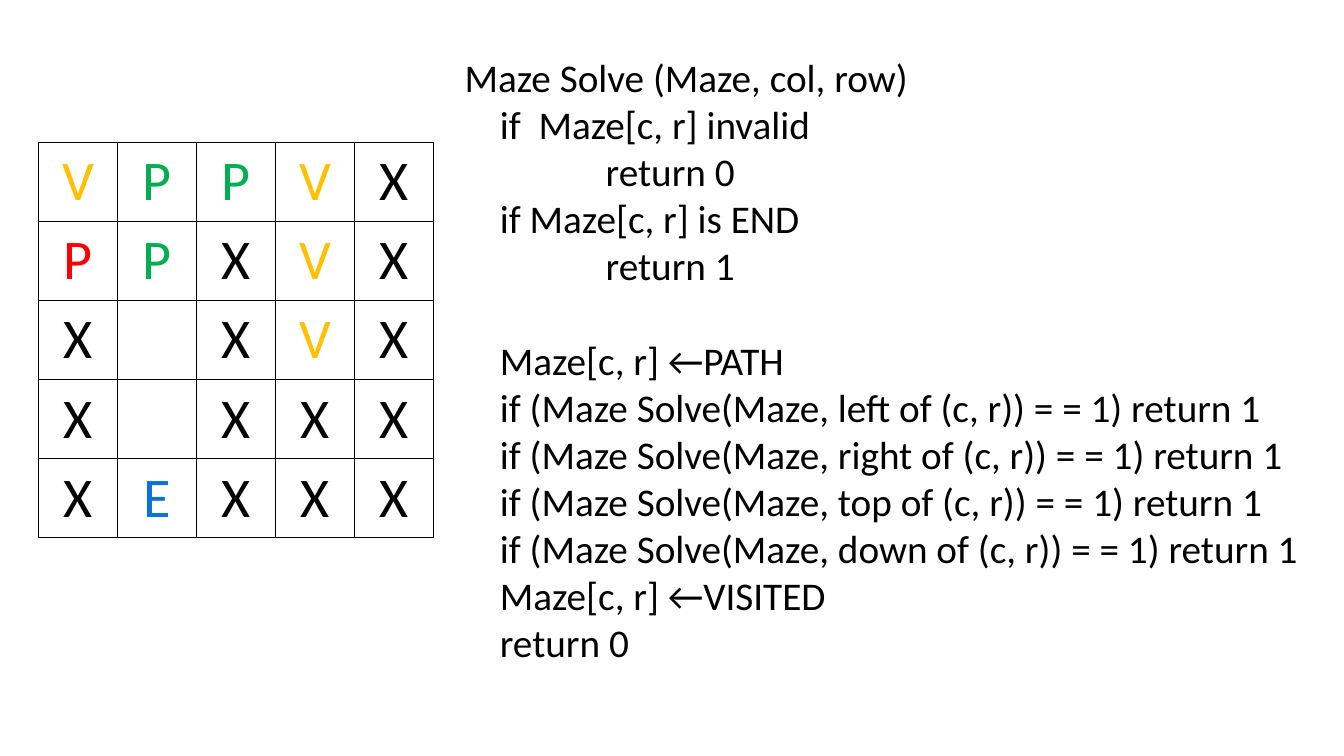
from lxml.etree import SubElement
from pptx import Presentation
from pptx.dml.color import RGBColor
from pptx.enum.text import MSO_ANCHOR, PP_ALIGN
from pptx.oxml import parse_xml
from pptx.oxml.ns import nsdecls, qn
from pptx.util import Inches, Pt

BLACK = RGBColor(0x00, 0x00, 0x00)
AMBER = RGBColor(0xFF, 0xC0, 0x00)
GREEN = RGBColor(0x00, 0xB0, 0x50)
RED = RGBColor(0xFF, 0x00, 0x00)
BLUE = RGBColor(0x0A, 0x72, 0xDA)
FONT = "Calibri"

MAZE = ["VPPVX", "PPXVX", "X XVX", "X XXX", "XEXXX"]
MARK_COLORS = {"V": AMBER, "P": GREEN, "X": BLACK, "E": BLUE}
CURRENT = (1, 0)  # row and column being visited
CELL = Inches(0.785)

# Indent steps, text
CODE = [
    (0, "Maze Solve (Maze, col, row)"),
    (1, "if  Maze[c, r] invalid"),
    (4, "return 0"),
    (1, "if Maze[c, r] is END"),
    (4, "return 1"),
    (1, "Maze[c, r] ←PATH"),
    *[(1, f"if (Maze Solve(Maze, {side} of (c, r)) = = 1) return 1")
      for side in ("left", "right", "top", "down")],
    (1, "Maze[c, r] ←VISITED"),
    (1, "return 0"),
]
MARKING_LINE = 5  # a one-line gap comes before it
INDENT = Inches(0.35)


def outline_cell(cell):
    props = cell._tc.get_or_add_tcPr()
    for position, side in enumerate(("lnL", "lnR", "lnT", "lnB")):
        props.insert(position, parse_xml(
            f'<a:{side} {nsdecls("a")} w="12700"><a:solidFill>'
            f'<a:srgbClr val="{BLACK}"/></a:solidFill></a:{side}>'))


deck = Presentation()
deck.slide_width, deck.slide_height = Inches(13.33), Inches(7.5)
page = deck.slides.add_slide(deck.slide_layouts[6])

# Maze grid
size = len(MAZE)
maze = page.shapes.add_table(size, size, Inches(0.38), Inches(1.41),
                             CELL * size, CELL * size).table
maze.first_row = maze.horz_banding = False
for row, marks in enumerate(MAZE):
    maze.rows[row].height = CELL
    maze.columns[row].width = CELL
    for column, mark in enumerate(marks):
        cell = maze.cell(row, column)
        cell.fill.background()
        cell.vertical_anchor = MSO_ANCHOR.MIDDLE
        outline_cell(cell)
        if mark == " ":
            continue
        para = cell.text_frame.paragraphs[0]
        para.text = mark
        para.alignment = PP_ALIGN.CENTER
        para.font.name, para.font.size = FONT, Pt(40)
        para.font.color.rgb = RED if (row, column) == CURRENT else MARK_COLORS[mark]

# Pseudocode
box = page.shapes.add_textbox(Inches(4.51), Inches(0.48), Inches(8.67), Inches(6.23))
frame = box.text_frame
frame.word_wrap = True
for number, (steps, line) in enumerate(CODE):
    para = frame.paragraphs[0] if number == 0 else frame.add_paragraph()
    para.text = line
    para.font.name, para.font.size = FONT, Pt(28)
    para.font.color.rgb = BLACK
    if number == MARKING_LINE:
        para.space_before = Pt(34)
    props = para._p.get_or_add_pPr()
    props.set("marL", str(INDENT * steps))
    props.set("indent", "0")
    SubElement(props, qn("a:buNone"))
    # Schema order: bullet before default run properties
    props.append(props.find(qn("a:defRPr")))

deck.save("out.pptx")
